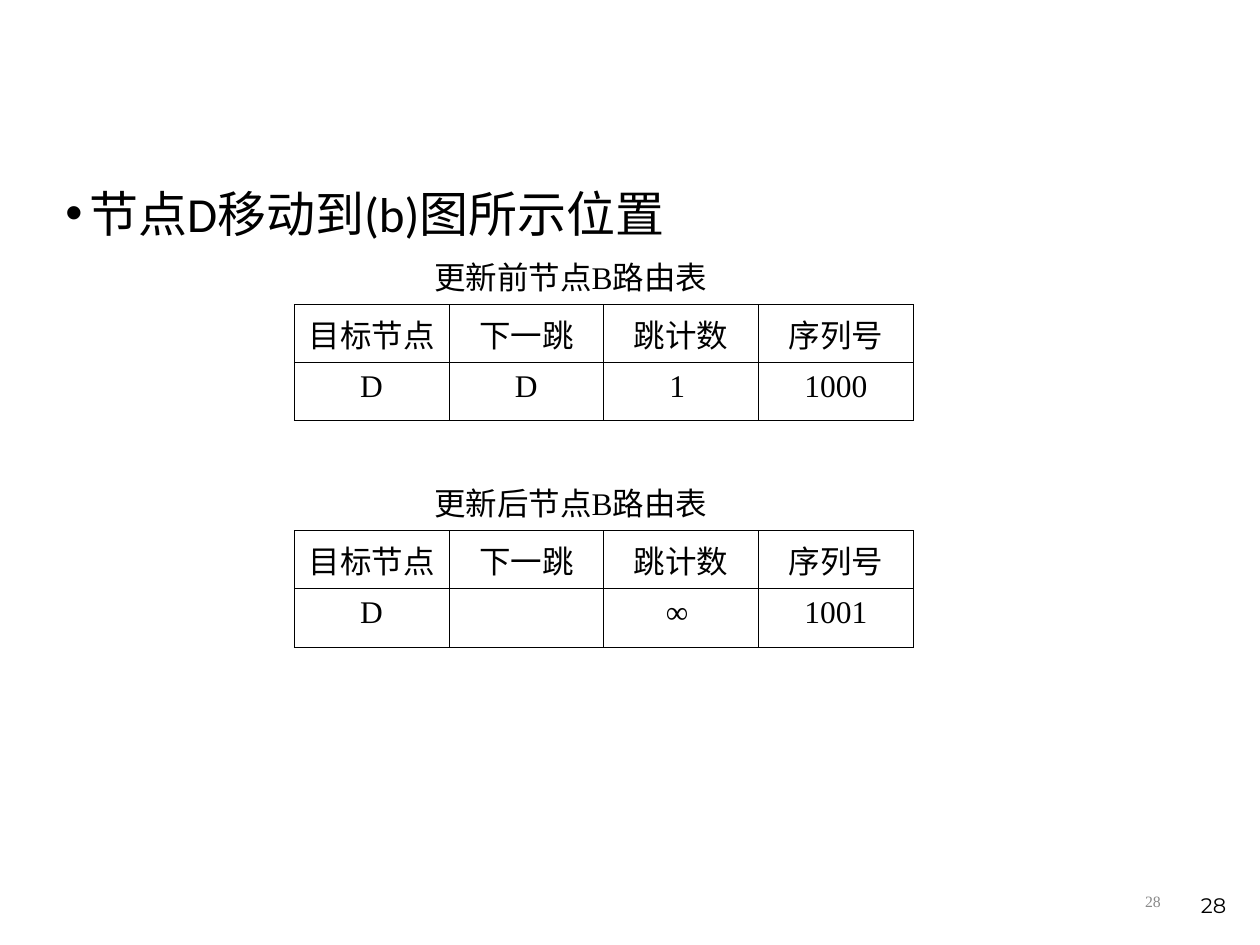
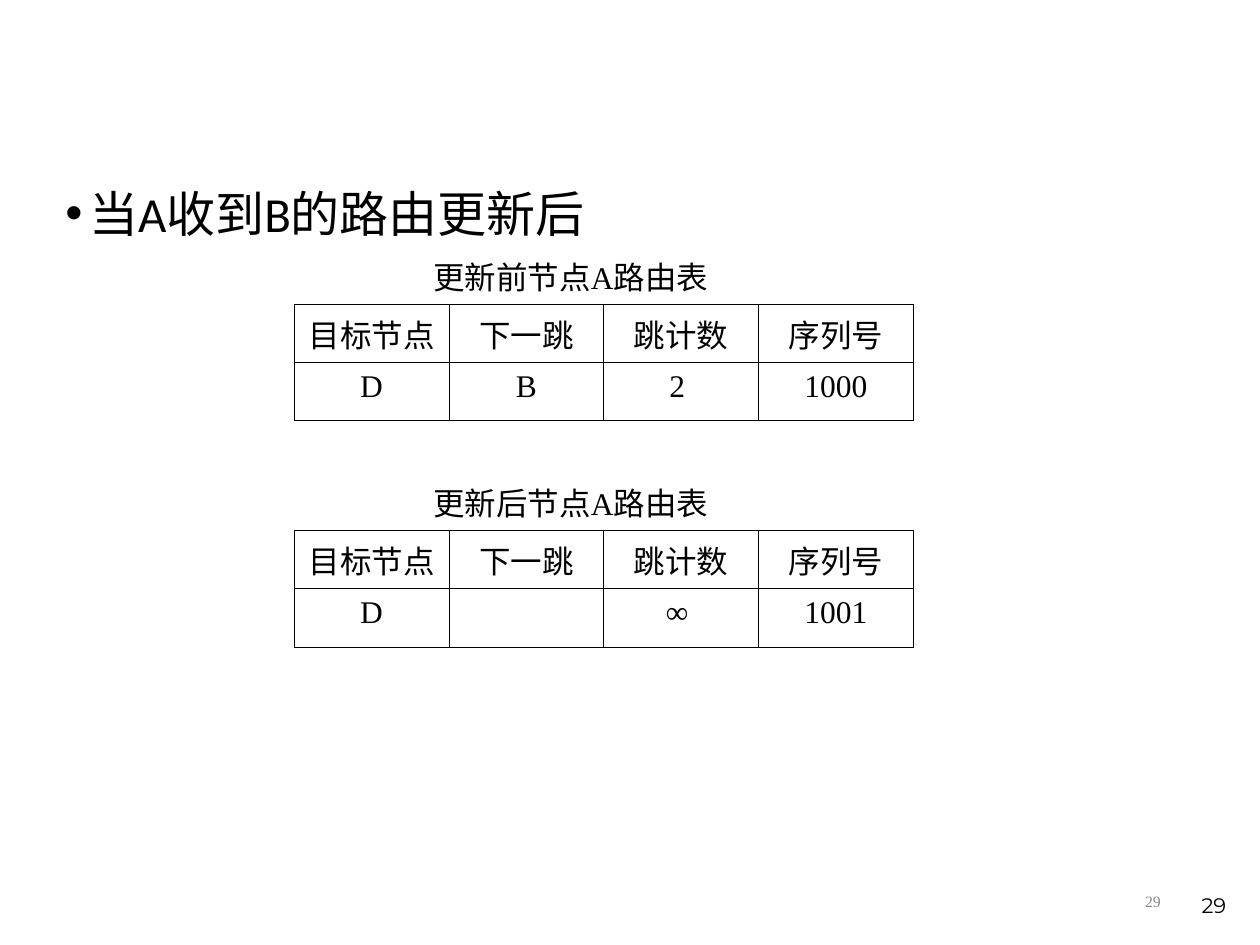
from dataclasses import dataclass
from lxml.etree import SubElement
from pptx import Presentation
from pptx.dml.color import RGBColor
from pptx.enum.text import MSO_ANCHOR, PP_ALIGN
from pptx.oxml import parse_xml
from pptx.oxml.ns import nsdecls, qn
from pptx.util import Cm, Pt


@dataclass(frozen=True)
class Theme:
    ink: str = "000000"
    grey: str = "898989"
    serif: str = "Times New Roman"
    sans: str = "Arial"
    head: str = "Calibri"
    foot: str = "Montserrat"
    large: int = 28
    body: int = 18
    small: int = 12
    tiny: int = 9
    rule: float = 0.45


def write(para, text, font, size, color, align=PP_ALIGN.LEFT):
    para.alignment = align
    run = para.add_run()
    run.text = text
    run.font.name = font
    run.font.size = Pt(size)
    run.font.color.rgb = RGBColor.from_string(color)


class Deck:
    def __init__(self, theme):
        self.theme = theme
        self.file = Presentation()
        self.file.slide_width = Cm(25.4)
        self.file.slide_height = Cm(19.05)
        self.slide = None

    def start(self):
        self.slide = self.file.slides.add_slide(self.file.slide_layouts[6])

    def label(self, x, y, wide, high, text, anchor=MSO_ANCHOR.TOP, wrap=True, **style):
        box = self.slide.shapes.add_textbox(Cm(x), Cm(y), Cm(wide), Cm(high))
        frame = box.text_frame
        frame.word_wrap = wrap
        frame.vertical_anchor = anchor
        para = frame.paragraphs[0]
        write(para, text, **style)
        return para

    def point(self, text):
        t = self.theme
        para = self.label(1.07, 3.81, 20.52, 1.27, text,
                          font=t.head, size=t.large, color=t.ink)
        props = para._p.get_or_add_pPr()
        props.set("marL", str(Cm(0.48)))
        props.set("indent", str(Cm(-0.48)))
        tint = SubElement(props, qn("a:buClr"))
        SubElement(tint, qn("a:srgbClr"), val=t.ink)
        SubElement(props, qn("a:buFont"), typeface=t.sans)
        SubElement(props, qn("a:buChar"), char="•")
        para.line_spacing = 0.8

    def title(self, y, text):
        t = self.theme
        self.label(8.33, y, 6.35, 1.02, text, wrap=False, font=t.serif,
                   size=t.body, color=t.ink, align=PP_ALIGN.CENTER)

    def border(self, cell):
        props = cell._tc.get_or_add_tcPr()
        for place, side in enumerate(("lnL", "lnR", "lnT", "lnB")):
            props.insert(place, parse_xml(
                f'<a:{side} {nsdecls("a")} w="{Pt(self.theme.rule)}"><a:solidFill>'
                f'<a:srgbClr val="{self.theme.ink}"/></a:solidFill></a:{side}>'))

    def grid(self, y, rows):
        t = self.theme
        high, wide = 1.17, 3.12
        count = len(rows[0])
        table = self.slide.shapes.add_table(
            len(rows), count, Cm(5.93), Cm(y),
            Cm(wide * count), Cm(high * len(rows))).table
        table.first_row = table.horz_banding = False
        for r, row in enumerate(rows):
            table.rows[r].height = Cm(high)
            for c, text in enumerate(row):
                cell = table.cell(r, c)
                cell.fill.background()
                self.border(cell)
                if text:
                    font = t.sans if text == "序列号" else t.serif
                    write(cell.text_frame.paragraphs[0], text, font=font,
                          size=t.body, color=t.ink, align=PP_ALIGN.CENTER)

    def footer(self, page):
        t = self.theme
        self.label(17.93, 17.65, 5.72, 1.02, page, MSO_ANCHOR.MIDDLE,
                   font=t.serif, size=t.tiny, color=t.grey, align=PP_ALIGN.RIGHT)
        self.label(19.05, 17.35, 5.92, 1.27, page, MSO_ANCHOR.BOTTOM,
                   font=t.foot, size=t.small, color=t.ink, align=PP_ALIGN.RIGHT)


HEADS = ("目标节点", "下一跳", "跳计数", "序列号")
AFTER = ("D", "", "∞ ", "1001")
PAGES = (
    ("28", "节点D移动到(b)图所示位置", "B", ("D", "D", "1 ", "1000")),
    ("29", "当A收到B的路由更新后", "A", ("D", "B", "2 ", "1000")),
)


def main():
    deck = Deck(Theme())
    for page, point, node, before in PAGES:
        deck.start()
        deck.point(point)
        for step, (when, row) in enumerate((("前", before), ("后", AFTER))):
            top = 5.08 + 4.56 * step
            deck.title(top, f"更新{when}节点{node}路由表")
            deck.grid(top + 1.06, (HEADS, row))
        deck.footer(page)
    deck.file.save("out.pptx")


if __name__ == "__main__":
    main()
